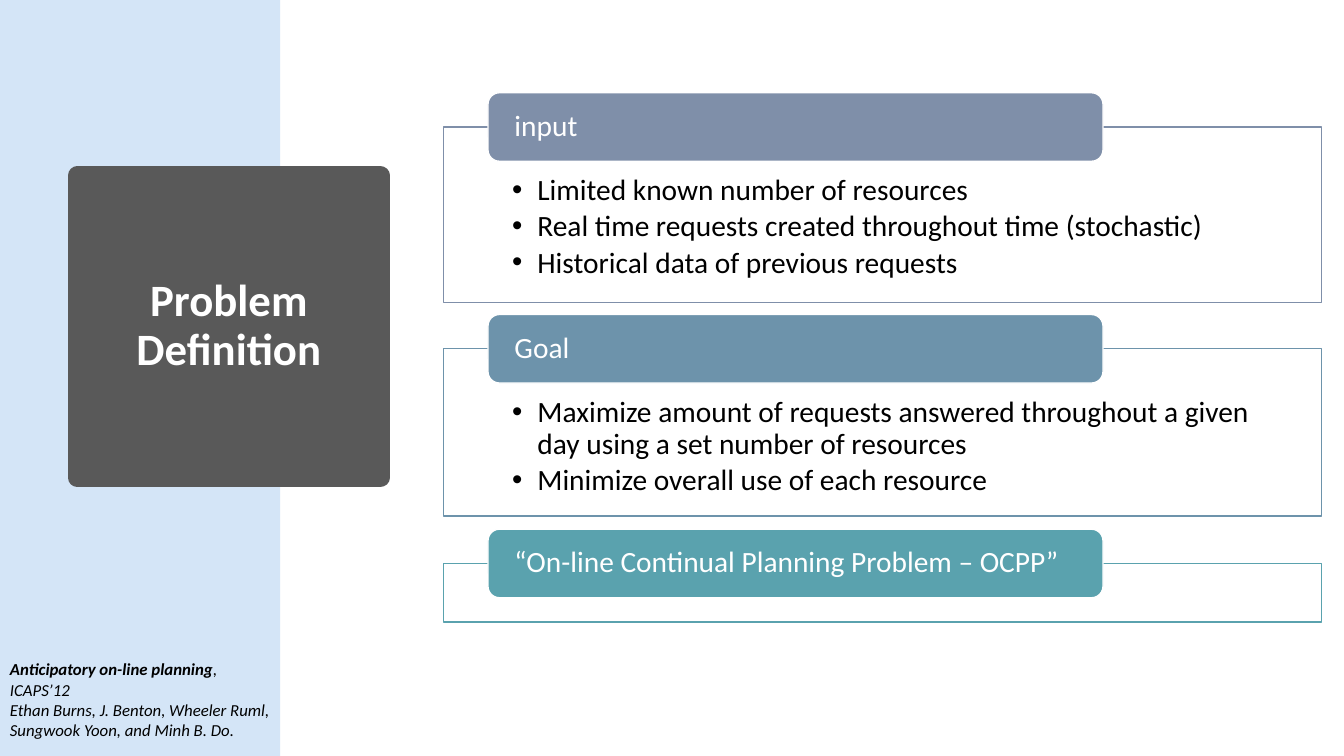
from lxml.etree import SubElement
from pptx import Presentation
from pptx.dml.color import RGBColor
from pptx.enum.shapes import MSO_SHAPE as Shape
from pptx.enum.text import MSO_ANCHOR as Anchor, MSO_AUTO_SIZE as AutoSize, PP_ALIGN as Align
from pptx.oxml.ns import qn
from pptx.util import Inches, Pt

COLORS = {
    "sidebar": "D4E5F7",
    "circle": "595959",
    "input": "7F8FA9",
    "goal": "6D93AB",
    "problem": "5AA2AE",
    "white": "FFFFFF",
    "black": "000000",
}
# colour, frame top, frame height, heading, bullets
PANELS = [
    ("input", 1.26, 1.74, "input", [
        "Limited known number of resources",
        "Real time requests created throughout time (stochastic)",
        "Historical data of previous requests",
    ]),
    ("goal", 3.46, 1.66, "Goal", [
        "Maximize amount of requests answered throughout a given day "
        "using a set number of resources",
        "Minimize overall use of each resource",
    ]),
    ("problem", 5.59, 0.58, "“On-line Continual Planning Problem – OCPP”", []),
]
FRAME_LEFT, FRAME_WIDTH = 4.4, 8.71
HEADING_LEFT, HEADING_WIDTH, HEADING_HEIGHT = 4.84, 6.1, 0.68


def paint(shape, fill, line=None, width=1):
    shape.fill.solid()
    shape.fill.fore_color.rgb = RGBColor.from_string(COLORS[fill])
    if line:
        shape.line.color.rgb = RGBColor.from_string(COLORS[line])
        shape.line.width = Pt(width)
    else:
        shape.line.fill.background()
    shape.shadow.inherit = False


def style(font, size, color):
    font.name = "Calibri"
    font.size = Pt(size)
    font.color.rgb = RGBColor.from_string(COLORS[color])


deck = Presentation()
deck.slide_width, deck.slide_height = Inches(13.33), Inches(7.5)
page = deck.slides.add_slide(deck.slide_layouts.get_by_name("Two Content"))
title, *lists = page.placeholders
tree = title.element.getparent()

sidebar = page.shapes.add_shape(Shape.RECTANGLE, 0, 0, Inches(2.78), Inches(7.5))
paint(sidebar, "sidebar")

# Panels: outlined frame with a heading across its top edge
for color, top, height, heading_text, bullets in PANELS:
    area = [Inches(n) for n in (FRAME_LEFT, top, FRAME_WIDTH, height)]
    if bullets:
        frame = lists.pop(0)
        frame.left, frame.top, frame.width, frame.height = area
        tree.append(frame.element)
        body = frame.text_frame
        body.text = "\n".join(bullets)
        body.auto_size = AutoSize.NONE
        body.vertical_anchor = Anchor.TOP
        body.margin_left = body.margin_right = Inches(0.68)
        body.margin_top, body.margin_bottom = Inches(0.48), Inches(0.16)
        for para in body.paragraphs:
            para.line_spacing = 0.9
            para.space_before, para.space_after = Pt(0), Pt(3.15)
            properties = para._p.get_or_add_pPr()
            properties.set("marL", str(Inches(0.25)))
            properties.set("indent", str(-Inches(0.25)))
            SubElement(properties, qn("a:buChar")).set("char", "•")
            style(para.font, 21, "black")
    else:
        frame = page.shapes.add_shape(Shape.RECTANGLE, *area)
    paint(frame, "white", color)

    heading = page.shapes.add_shape(
        Shape.ROUNDED_RECTANGLE, Inches(HEADING_LEFT), Inches(top - HEADING_HEIGHT / 2),
        Inches(HEADING_WIDTH), Inches(HEADING_HEIGHT))
    paint(heading, color, "white")
    label = heading.text_frame
    label.text = heading_text
    label.vertical_anchor = Anchor.MIDDLE
    label.margin_left = label.margin_right = Inches(0.23)
    label.margin_top = label.margin_bottom = 0
    label.paragraphs[0].alignment = Align.LEFT
    label.paragraphs[0].line_spacing = 0.9
    style(label.paragraphs[0].font, 21, "white")

# Reference in the sidebar
reference = page.shapes.add_textbox(0, Inches(6.49), Inches(2.78), Inches(0.91)).text_frame
reference.word_wrap = True
work, authors = reference.paragraphs[0], reference.add_paragraph()
for para, words, bold in [
    (work, "Anticipatory on-line planning", True),
    (work, ", ICAPS’12", False),
    (authors, "Ethan Burns, J. Benton, Wheeler Ruml, Sungwook Yoon, and Minh B. Do.", False),
]:
    span = para.add_run()
    span.text = words
    style(span.font, 12, "black")
    span.font.bold, span.font.italic = bold, True

# Title in a circle
title.left, title.top, title.width, title.height = [Inches(n) for n in (0.77, 1.74, 3, 3)]
SubElement(title.element.spPr, qn("a:prstGeom")).set("prst", "ellipse")
paint(title, "circle", "circle", 13.75)
tree.append(title.element)
name = title.text_frame
name.text = "Problem Definition"
name.word_wrap = True
name.auto_size = AutoSize.NONE
name.vertical_anchor = Anchor.MIDDLE
name.paragraphs[0].alignment = Align.CENTER
name.paragraphs[0].line_spacing = 0.9
style(name.paragraphs[0].font, 32, "white")
name.paragraphs[0].font.bold = True

deck.save("out.pptx")
